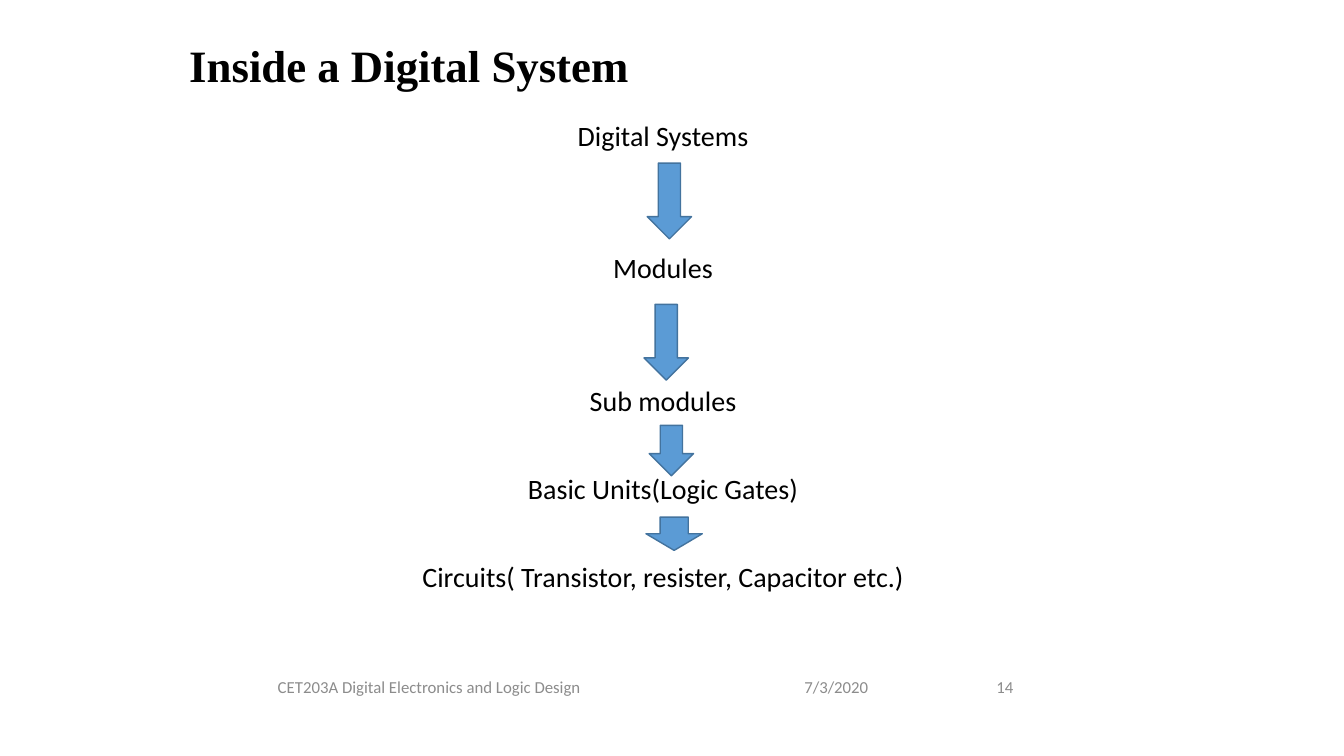
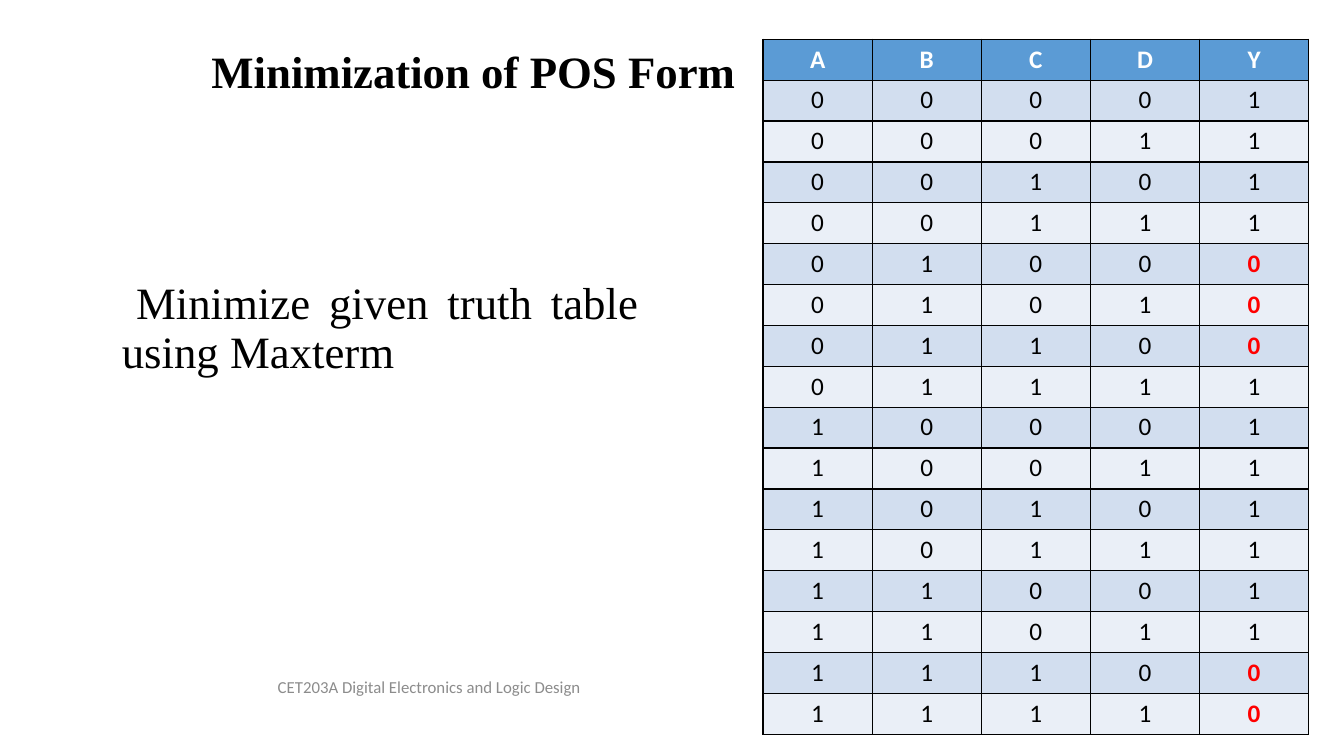
from itertools import product

from lxml.etree import SubElement
from pptx import Presentation
from pptx.dml.color import RGBColor
from pptx.enum.shapes import MSO_SHAPE
from pptx.enum.text import MSO_ANCHOR, PP_ALIGN
from pptx.oxml.ns import qn
from pptx.util import Cm, Pt

BLACK = RGBColor(0x00, 0x00, 0x00)
WHITE = RGBColor(0xFF, 0xFF, 0xFF)
GREY = RGBColor(0x8C, 0x8C, 0x8C)
RED = RGBColor(0xFF, 0x00, 0x00)
BLUE = RGBColor(0x5B, 0x9B, 0xD5)
DARK_BLUE = RGBColor(0x43, 0x73, 0x9E)
BANDS = [RGBColor(0xD2, 0xDE, 0xEF), RGBColor(0xEA, 0xEF, 0xF7)]

SANS = "Calibri"
SERIF = "Times New Roman"
FOOTER = "CET203A Digital Electronics and Logic Design"
FOOTER_TOP, FOOTER_HEIGHT = 16.79, 1.02


def style(p, text, name, size, color, bold=False, align=PP_ALIGN.LEFT):
    p.text = text
    p.alignment = align
    p.font.name = name
    p.font.size = Pt(size)
    p.font.color.rgb = color
    p.font.bold = bold


def add_box(s, left, top, width, height, anchor=MSO_ANCHOR.MIDDLE):
    tf = s.shapes.add_textbox(Cm(left), Cm(top), Cm(width), Cm(height)).text_frame
    tf.word_wrap = True
    tf.vertical_anchor = anchor
    return tf


prs = Presentation()
prs.slide_width, prs.slide_height = Cm(33.87), Cm(19.05)

slides = []
for title, box in [
    ("Inside a Digital System", (4.52, 0.74, 27.79, 1.96)),
    ("Minimization of POS Form", (5.08, 0.79, 27.66, 2.16)),
]:
    s = prs.slides.add_slide(prs.slide_layouts[6])
    p = add_box(s, *box).paragraphs[0]
    style(p, title, SERIF, 32, BLACK, bold=True)
    p.line_spacing = 0.9
    p = add_box(s, 2.26, FOOTER_TOP, 17.12, FOOTER_HEIGHT).paragraphs[0]
    style(p, FOOTER, SANS, 12, GREY, align=PP_ALIGN.CENTER)
    slides.append(s)

system_slide, table_slide = slides

for text, left, width, align in [
    ("7/3/2020", 20.02, 2.54, PP_ALIGN.LEFT),
    ("14", 23.88, 1.91, PP_ALIGN.RIGHT),
]:
    p = add_box(system_slide, left, FOOTER_TOP, width, FOOTER_HEIGHT).paragraphs[0]
    style(p, text, SANS, 12, GREY, align=align)

tf = add_box(system_slide, 1.47, 2.95, 30.48, 13.82, MSO_ANCHOR.TOP)
for i, (text, gap) in enumerate([
    ("Digital Systems", 0),
    ("Modules", 73),
    ("Sub modules", 73),
    ("Basic Units(Logic Gates)", 41.5),
    ("Circuits( Transistor, resister, Capacitor etc.)", 41.5),
]):
    p = tf.add_paragraph() if i else tf.paragraphs[0]
    style(p, text, SANS, 20, BLACK, align=PP_ALIGN.CENTER)
    p.line_spacing = 0.9
    p.space_before = Pt(gap)

for left, top, width, height in [
    (16.31, 4.11, 1.12, 1.91),
    (16.23, 7.67, 1.12, 1.91),
    (16.36, 10.72, 1.12, 1.27),
    (16.28, 13.03, 1.42, 0.84),
]:
    sp = system_slide.shapes.add_shape(
        MSO_SHAPE.DOWN_ARROW, Cm(left), Cm(top), Cm(width), Cm(height))
    sp.shadow.inherit = False
    sp.fill.solid()
    sp.fill.fore_color.rgb = BLUE
    sp.line.color.rgb = DARK_BLUE
    sp.line.width = Pt(1)

p = add_box(table_slide, 2.18, 6.96, 14.17, 3.43, MSO_ANCHOR.TOP).paragraphs[0]
style(p, "Minimize given truth table using Maxterm", SERIF, 32, BLACK,
      align=PP_ALIGN.JUSTIFY)
p.line_spacing = 0.9
pPr = p._p.get_or_add_pPr()
pPr.set("marL", str(Cm(0.64)))
pPr.set("indent", str(Cm(0.36)))

MAXTERMS = {4, 5, 6, 14, 15}
rows = [list("ABCDY")]
for n, bits in enumerate(product("01", repeat=4)):
    rows.append([*bits, "0" if n in MAXTERMS else "1"])

COL_WIDTH, ROW_HEIGHT = 2.75, 1.03
table = table_slide.shapes.add_table(
    len(rows), 5, Cm(19.23), Cm(0.99),
    Cm(COL_WIDTH * 5), Cm(ROW_HEIGHT * len(rows))).table
for column in table.columns:
    column.width = Cm(COL_WIDTH)
for i, values in enumerate(rows):
    table.rows[i].height = Cm(ROW_HEIGHT)
    for j, value in enumerate(values):
        cell = table.cell(i, j)
        is_zero = j == 4 and value == "0"
        color = WHITE if i == 0 else RED if is_zero else BLACK
        style(cell.text_frame.paragraphs[0], value, SANS, 18, color,
              bold=i == 0 or is_zero, align=PP_ALIGN.CENTER)
        cell.margin_left = cell.margin_right = Cm(0.33)
        cell.margin_top = cell.margin_bottom = Cm(0.12)
        tcPr = cell._tc.get_or_add_tcPr()
        for side in ("lnL", "lnR", "lnT", "lnB"):
            ln = SubElement(tcPr, qn("a:" + side), w=str(Pt(1)))
            fill = SubElement(ln, qn("a:solidFill"))
            SubElement(fill, qn("a:srgbClr"), val=str(BLACK))
        cell.fill.solid()
        cell.fill.fore_color.rgb = BANDS[(i - 1) % 2] if i else BLUE

prs.save("out.pptx")
